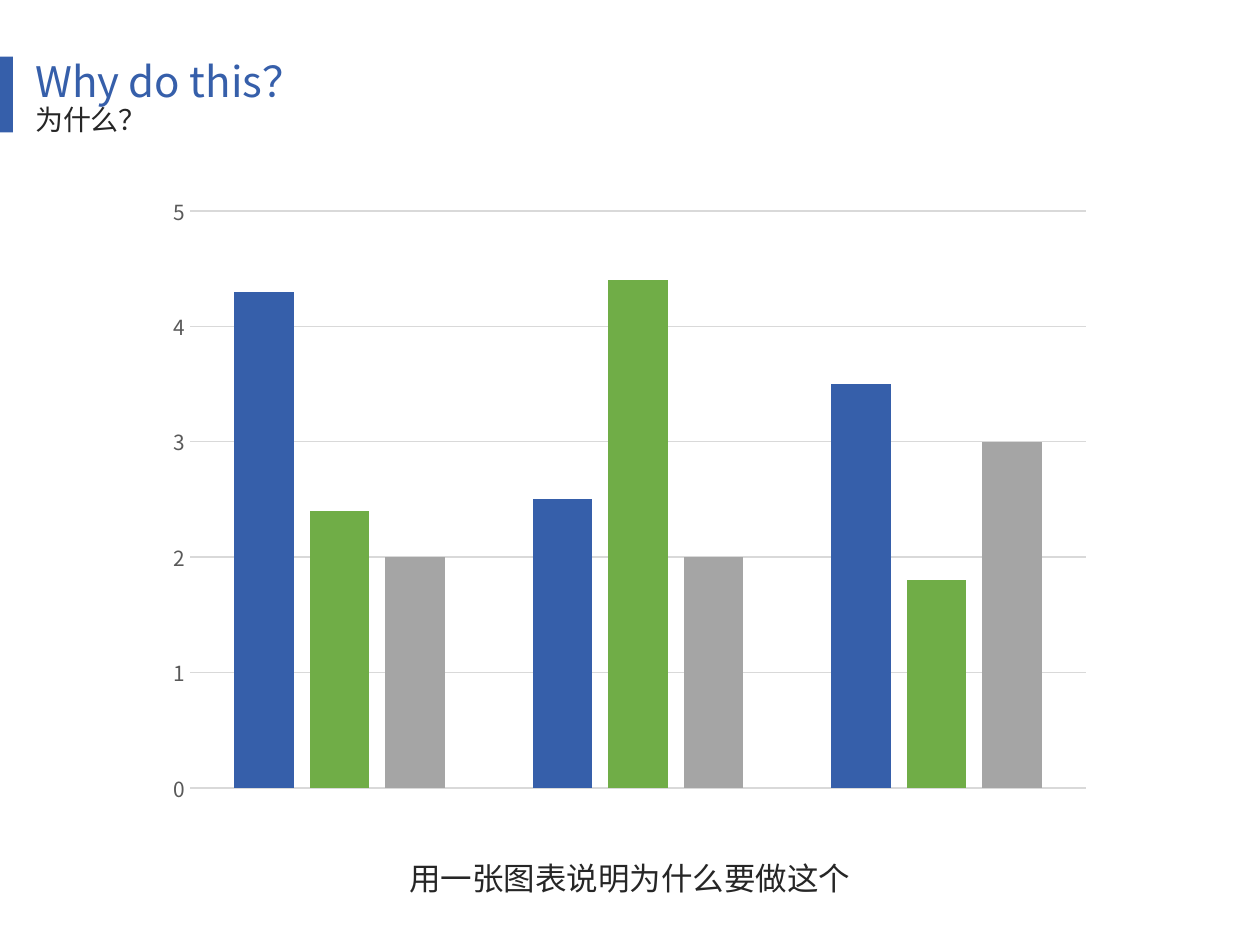
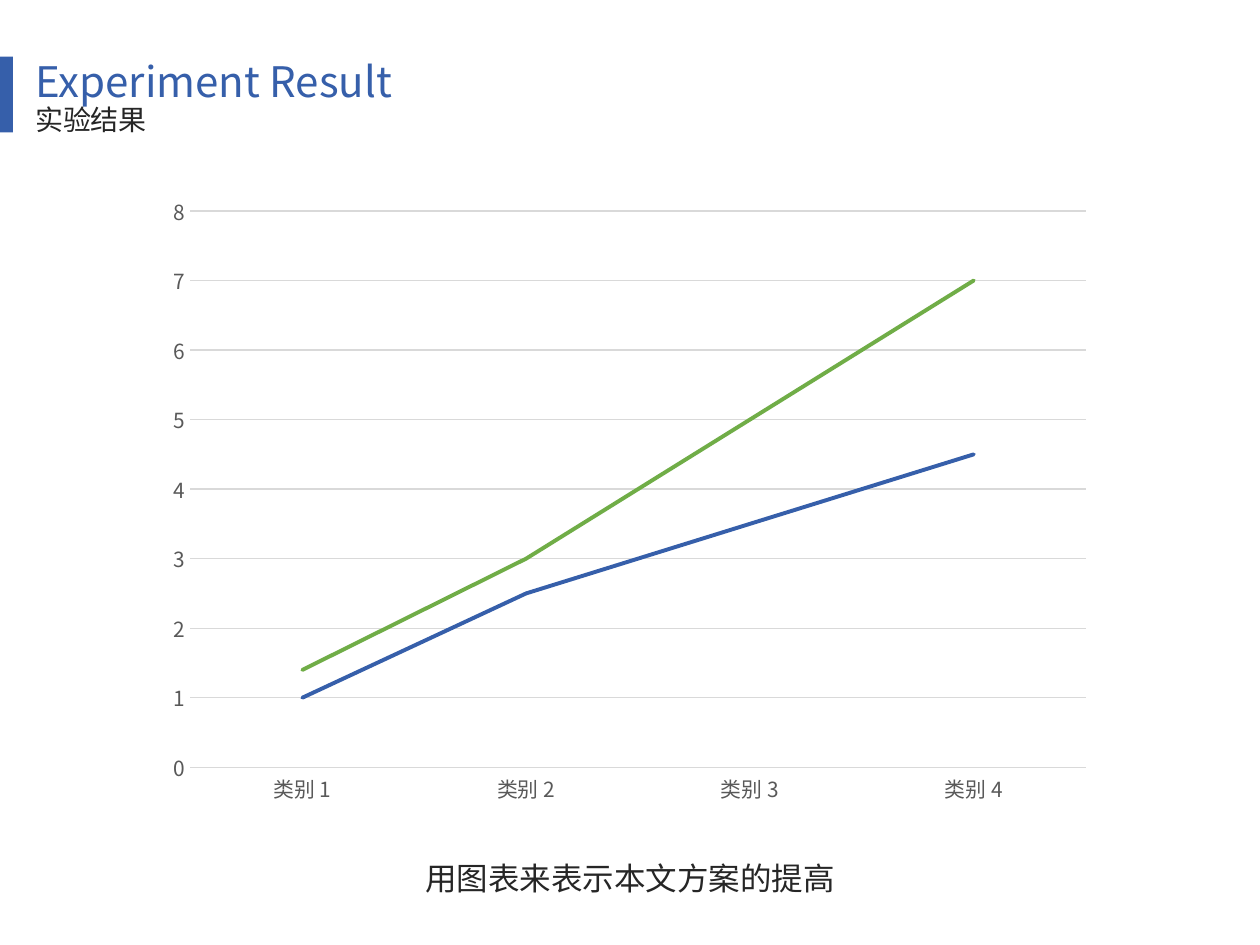
from lxml import etree
from pptx import Presentation
from pptx.chart.data import CategoryChartData
from pptx.dml.color import RGBColor
from pptx.enum import chart as ch, shapes, text
from pptx.oxml import ns
from pptx.util import Cm, Pt

# Shared style
FONT = "Noto Sans CJK SC"
BLUE, GREEN, GRAY = "365FAA", "70AD47", "A5A5A5"
INK, AXIS_TEXT, GRID = "262626", "595959", "D9D9D9"
SERIES_COLORS = (BLUE, GREEN, GRAY)
SLIDE_W, SLIDE_H = 25.4, 19.05
HEADING_LEFT, HEADING_W = 0.46, 13.67


def paint(color_format, hex_color):
    color_format.rgb = RGBColor.from_string(hex_color)


def style_font(font, size, color):
    font.name = FONT
    font.size = Pt(size)
    paint(font.color, color)


def add_line_of_text(slide, words, box, size, color, wrap=True):
    """Place one paragraph in a text box and return its frame and paragraph."""
    frame = slide.shapes.add_textbox(*map(Cm, box)).text_frame
    frame.word_wrap = wrap
    paragraph = frame.paragraphs[0]
    run = paragraph.add_run()
    run.text = words
    style_font(run.font, size, color)
    east_asian = etree.SubElement(run.font._element, ns.qn("a:ea"))
    east_asian.set("typeface", FONT)
    return frame, paragraph


def add_heading(slide, title, subtitle):
    # Accent band at the left edge
    band = slide.shapes.add_shape(
        shapes.MSO_SHAPE.RECTANGLE, Cm(0), Cm(1.14), Cm(0.26), Cm(1.53))
    band.shadow.inherit = False
    band.fill.solid()
    paint(band.fill.fore_color, BLUE)
    band.line.fill.background()

    # Title and subtitle
    for words, top, height, size, color, spacing in (
            (title, 1.09, 1.17, 24, BLUE, 0.8),
            (subtitle, 1.98, 0.89, 16, INK, 0.9)):
        frame, paragraph = add_line_of_text(
            slide, words, (HEADING_LEFT, top, HEADING_W, height), size, color)
        frame.vertical_anchor = text.MSO_ANCHOR.BOTTOM
        paragraph.line_spacing = spacing


def add_caption(slide, words, width):
    box = ((SLIDE_W - width) / 2, 17.2, width, 1.02)
    frame, paragraph = add_line_of_text(slide, words, box, 18, INK, wrap=False)
    frame.auto_size = text.MSO_AUTO_SIZE.SHAPE_TO_FIT_TEXT
    paragraph.alignment = text.PP_ALIGN.CENTER


def style_axis(axis):
    axis.major_tick_mark = axis.minor_tick_mark = ch.XL_TICK_MARK.NONE
    style_font(axis.tick_labels.font, 11.9, AXIS_TEXT)


def style_rule(line):
    paint(line.color, GRID)
    line.width = Pt(0.75)


def add_plain_chart(slide, kind, categories, series, top_value):
    """Add a chart with horizontal grid lines only; return the chart."""
    data = CategoryChartData()
    data.categories = categories
    for number, values in enumerate(series, 1):
        data.add_series(f"Series {number}", values)
    chart = slide.shapes.add_chart(
        kind, Cm(3.12), Cm(3.68), Cm(19.15), Cm(12.78), data).chart
    chart.has_legend = chart.has_title = False
    style_font(chart.font, 10, "000000")

    style_axis(chart.category_axis)
    style_rule(chart.category_axis.format.line)

    scale = chart.value_axis
    style_axis(scale)
    scale.format.line.fill.background()
    style_rule(scale.major_gridlines.format.line)
    scale.minimum_scale, scale.maximum_scale = 0, top_value
    scale.major_unit = 1

    chart.plots[0].vary_by_categories = False
    return chart


def add_reason_columns(slide):
    chart = add_plain_chart(
        slide, ch.XL_CHART_TYPE.COLUMN_CLUSTERED, ["1", "2", "3"],
        [(4.3, 2.5, 3.5), (2.4, 4.4, 1.8), (2, 2, 3)], 5)
    chart.category_axis.visible = False
    columns = chart.plots[0]
    columns.gap_width, columns.overlap = 147, -27
    for group, color in zip(columns.series, SERIES_COLORS):
        group.invert_if_negative = False
        group.format.fill.solid()
        paint(group.format.fill.fore_color, color)


def add_result_lines(slide):
    chart = add_plain_chart(
        slide, ch.XL_CHART_TYPE.LINE, [f"类别 {n}" for n in range(1, 5)],
        [(1, 2.5, 3.5, 4.5), (1.4, 3, 5, 7)], 8)
    for trend, color in zip(chart.plots[0].series, SERIES_COLORS):
        trend.smooth = False
        trend.marker.style = ch.XL_MARKER_STYLE.NONE
        paint(trend.format.line.color, color)
        trend.format.line.width = Pt(2.25)
        trend.format.line._ln.set("cap", "rnd")


def main():
    deck = Presentation()
    deck.slide_width, deck.slide_height = Cm(SLIDE_W), Cm(SLIDE_H)
    blank = deck.slide_layouts[6]

    # Motivation
    reason = deck.slides.add_slide(blank)
    add_heading(reason, "Why do this？", "为什么？")
    add_reason_columns(reason)
    add_caption(reason, "用一张图表说明为什么要做这个", 9.5)

    # Results
    result = deck.slides.add_slide(blank)
    add_heading(result, "Experiment Result", "实验结果")
    add_caption(result, "用图表来表示本文方案的提高", 8.84)
    add_result_lines(result)

    deck.save("out.pptx")


if __name__ == "__main__":
    main()
